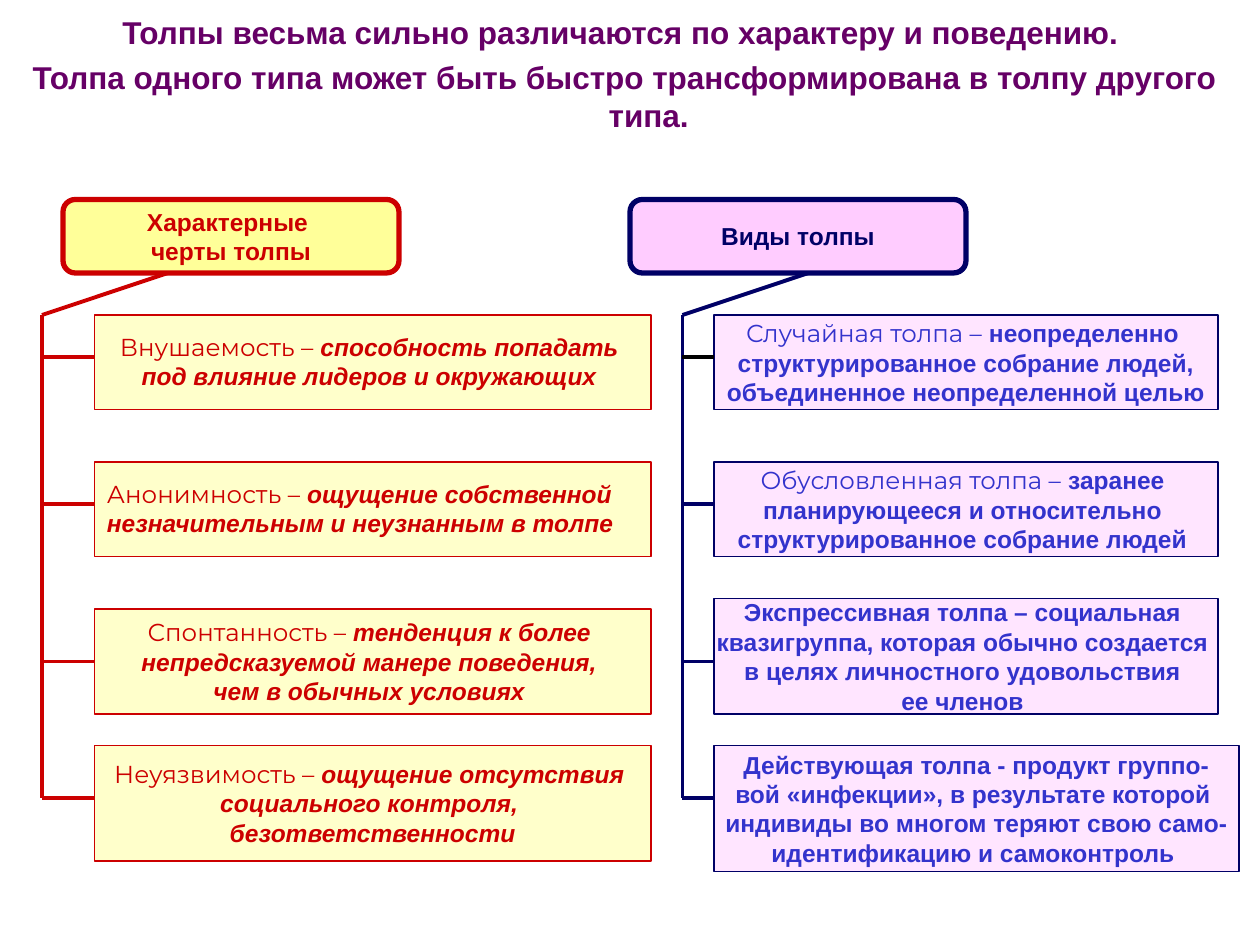
from pptx import Presentation
from pptx.dml.color import RGBColor
from pptx.enum.shapes import MSO_CONNECTOR, MSO_SHAPE
from pptx.enum.text import MSO_ANCHOR, MSO_AUTO_SIZE, PP_ALIGN
from pptx.oxml.ns import qn
from pptx.util import Inches, Pt
from lxml import etree

CENTER, LEFT = PP_ALIGN.CENTER, PP_ALIGN.LEFT
RECTANGLE, ROUNDED = MSO_SHAPE.RECTANGLE, MSO_SHAPE.ROUNDED_RECTANGLE
STRAIGHT = MSO_CONNECTOR.STRAIGHT
MIDDLE, TOP = MSO_ANCHOR.MIDDLE, MSO_ANCHOR.TOP
NO_FIT, GROW = MSO_AUTO_SIZE.NONE, MSO_AUTO_SIZE.SHAPE_TO_FIT_TEXT

deck = Presentation()
deck.slide_width, deck.slide_height = Inches(10), Inches(7.5)
CELL = deck.slide_width // 120

page = deck.slides.add_slide(deck.slide_layouts[1])
page.shapes.title.element.getparent().remove(page.shapes.title.element)


def write(frame, lines, color, size=14, italic=False, align=CENTER):
    for number, line in enumerate(lines):
        para = frame.paragraphs[0] if number == 0 else frame.add_paragraph()
        lead, bar, rest = line.rpartition("|")
        para.alignment = align
        para.font.name, para.font.size = "Arial", Pt(size)
        para.font.bold, para.font.italic = True, italic
        para.font.color.rgb = RGBColor.from_string(color)
        if bar:
            span = para.add_run()
            span.text = lead
            span.font.name = "Montserrat"
            span.font.bold = span.font.italic = False
        para.add_run().text = rest


def connect(x1, y1, x2, y2, color):
    line = page.shapes.add_connector(STRAIGHT, x1 * CELL, y1 * CELL, x2 * CELL, y2 * CELL)
    line.line.color.rgb = RGBColor.from_string(color)
    line.line.width = Pt(2.25)
    etree.SubElement(line.element.spPr, qn("a:effectLst"))
    return line


body = page.placeholders[1]
body.left, body.top = CELL, Inches(0.05)
body.width, body.height = 117 * CELL, Inches(7.37)
frame = body.text_frame
frame.auto_size, frame.vertical_anchor = NO_FIT, TOP
write(frame, [
    "Толпы весьма сильно различаются по характеру и поведению. ",
    "Толпа одного типа может быть быстро трансформирована в толпу другого типа.",
], "660066", 18)
for number, para in enumerate(frame.paragraphs):
    properties = para._p.get_or_add_pPr()
    properties.set("marL", str(Inches(0.38)))
    properties.set("indent", str(-Inches(0.38)))
    properties.insert(0, etree.Element(qn("a:buNone")))
    para.space_before = Pt(4.5 if number else 0)

branches = [
    dict(
        heading=["Характерные ", "черты толпы"], head_x=6, spine=4, box_x=9,
        head_fill="FFFF99", line="CC0000", text="CC0000", italic=True,
        boxes=[
            (30, 53, 9, ["Внушаемость –| способность попадать ",
                         "под влияние лидеров и окружающих "]),
            (44, 53, 9, ["Анонимность –| ощущение собственной",
                         "незначительным и неузнанным в толпе"]),
            (58, 53, 10, ["Спонтанность –| тенденция к более ",
                          "непредсказуемой манере поведения, ",
                          "чем в обычных условиях "]),
            (71, 53, 11, ["Неуязвимость –| ощущение отсутствия ",
                          "социального контроля, ",
                          "безответственности"]),
        ],
        overlays={0: (53, CENTER), 1: (52, LEFT)},
        stubs=["CC0000"] * 4,
    ),
    dict(
        heading=["Виды толпы"], head_x=60, spine=65, box_x=68,
        head_fill="FFCCFF", line="000066", text="3333CC", italic=False,
        boxes=[
            (30, 48, 9, ["Случайная толпа –| неопределенно ",
                         "структурированное собрание людей,",
                         "объединенное неопределенной целью"]),
            (44, 48, 9, ["Обусловленная толпа –| заранее ",
                         "планирующееся и относительно ",
                         "структурированное собрание людей "]),
            (57, 48, 11, ["Экспрессивная толпа – социальная ",
                          "квазигруппа, которая обычно создается ",
                          "в целях личностного удовольствия ",
                          "ее членов "]),
            (71, 50, 12, ["Действующая толпа - продукт группо-",
                          "вой «инфекции», в результате которой ",
                          "индивиды во многом теряют свою само-",
                          "идентификацию и самоконтроль "]),
        ],
        overlays={},
        stubs=["000000"] + ["000066"] * 3,
    ),
]
stub_rows = [34, 48, 63, 76]

for branch in branches:
    spine, box_x, color = branch["spine"], branch["box_x"], branch["line"]
    cards = [(ROUNDED, branch["head_x"], 19, 32, 7, branch["heading"])]
    cards += [(RECTANGLE, box_x, y, w, h, lines) for y, w, h, lines in branch["boxes"]]
    connect(spine, 30, spine, 76, color)
    connect(spine, 30, spine + 12, 26, color)

    for index, (kind, x, y, width, height, lines) in enumerate(cards, -1):
        is_heading = kind == ROUNDED
        box = page.shapes.add_shape(kind, x * CELL, y * CELL, width * CELL, height * CELL)
        box.shadow.inherit = False
        box.fill.solid()
        box.fill.fore_color.rgb = RGBColor.from_string(branch["head_fill"])
        box.line.color.rgb = RGBColor.from_string(color)
        box.line.width = Pt(3 if is_heading else 0.75)
        frame = box.text_frame
        frame.word_wrap, frame.vertical_anchor = False, MIDDLE
        if is_heading:
            write(frame, lines, color)
            continue

        fill_color = box.fill._xPr.find(qn("a:solidFill"))[0]
        etree.SubElement(fill_color, qn("a:alpha"), val="50000")
        align = CENTER
        if index in branch["overlays"]:
            text_width, align = branch["overlays"][index]
            label = page.shapes.add_textbox(x * CELL, (y + 1) * CELL, text_width * CELL, Inches(0.57))
            frame = label.text_frame
            frame.word_wrap, frame.auto_size = True, GROW
        write(frame, lines, branch["text"], italic=branch["italic"], align=align)

        row = stub_rows[index]
        stub = connect(spine, row, box_x, row, branch["stubs"][index])
        if 2 * row == 2 * y + height:
            stub.end_connect(box, 1)

deck.save("out.pptx")
